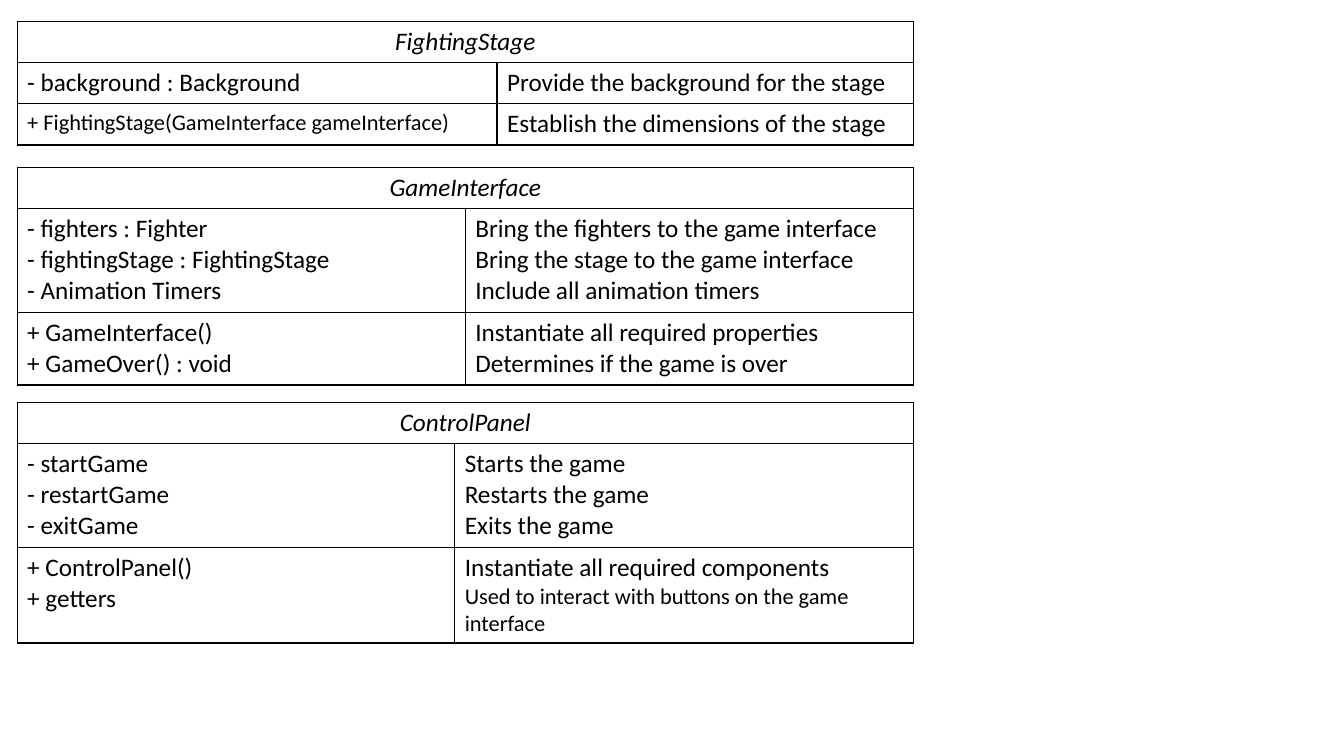
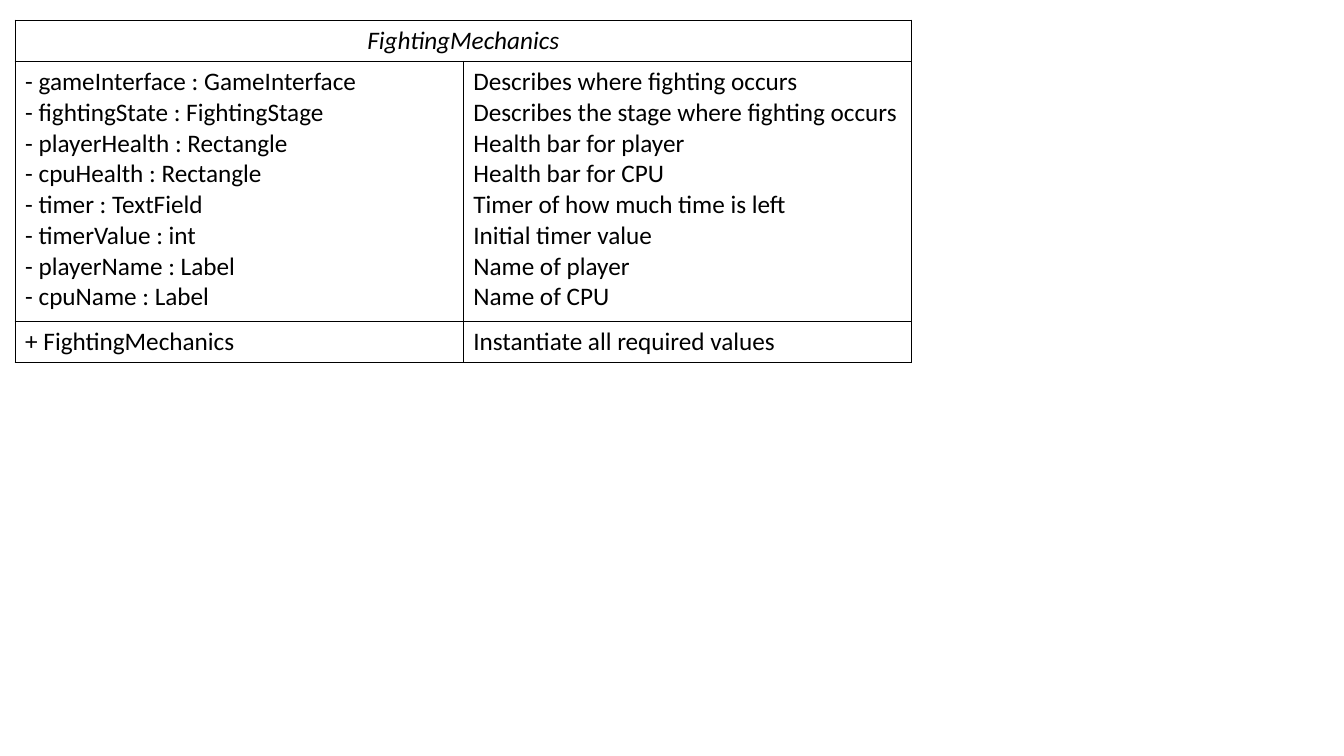
from lxml.etree import SubElement
from pptx import Presentation
from pptx.dml.color import RGBColor
from pptx.enum.text import PP_ALIGN as Align
from pptx.oxml.ns import qn
from pptx.util import Inches, Pt

COLORS = {"ink": "000000", "paper": "FFFFFF"}
FONT = "Calibri"
BODY_SIZE, SMALL_SIZE = 18, 16
TABLE_WIDTH = 8.89
LINE_HEIGHT, CELL_PADDING = 0.31, 0.1
BLANK_LAYOUT = 6


def write_text(para, text, size=BODY_SIZE, italic=False, align=Align.LEFT):
    para.alignment = align
    span = para.add_run()
    span.text = text
    font = span.font
    font.name, font.size = FONT, Pt(size)
    font.bold, font.italic = False, italic
    font.color.rgb = RGBColor.from_string(COLORS["ink"])


def fill_cell(cell, lines, **text_format):
    """Write one paragraph per line; a line is text or a (text, size) pair."""
    frame = cell.text_frame
    for index, line in enumerate(lines):
        para = frame.add_paragraph() if index else frame.paragraphs[0]
        text, size = (line, BODY_SIZE) if isinstance(line, str) else line
        write_text(para, text, size=size, **text_format)


def style_cell(cell):
    """Give the cell a plain fill and a thin border on all four sides."""
    properties = cell._tc.get_or_add_tcPr()
    for side in ("lnL", "lnR", "lnT", "lnB"):
        border = SubElement(properties, qn(f"a:{side}"), w=str(Pt(1)))
        solid = SubElement(border, qn("a:solidFill"))
        SubElement(solid, qn("a:srgbClr"), val=COLORS["ink"])
    cell.fill.solid()
    cell.fill.fore_color.rgb = RGBColor.from_string(COLORS["paper"])


def add_class_table(page, name, left, top, name_width, members):
    """Add a class name row, then rows of members beside their purposes."""
    heights = [LINE_HEIGHT * max(map(len, row)) + CELL_PADDING
               for row in [([name],), *members]]
    table = page.shapes.add_table(
        len(heights), 2, Inches(left), Inches(top),
        Inches(TABLE_WIDTH), Inches(sum(heights))).table
    table.first_row = table.horz_banding = False
    for column, width in zip(table.columns, (name_width, TABLE_WIDTH - name_width)):
        column.width = Inches(width)
    for row, height in zip(table.rows, heights):
        row.height = Inches(height)
    for cell in table.iter_cells():
        style_cell(cell)

    heading = table.cell(0, 0)
    heading.merge(table.cell(0, 1))
    fill_cell(heading, [name], italic=True, align=Align.CENTER)
    for row_index, row in enumerate(members, start=1):
        for column_index, lines in enumerate(row):
            fill_cell(table.cell(row_index, column_index), lines)


def add_interface_page(deck):
    page = deck.slides.add_slide(deck.slide_layouts[BLANK_LAYOUT])
    left = 0.17
    add_class_table(page, "FightingStage", left, 0.21, 4.76, [
        (["- background : Background"],
         ["Provide the background for the stage"]),
        ([("+ FightingStage(GameInterface gameInterface)", SMALL_SIZE)],
         ["Establish the dimensions of the stage"]),
    ])
    add_class_table(page, "GameInterface", left, 1.66, TABLE_WIDTH / 2, [
        (["- fighters : Fighter",
          "- fightingStage : FightingStage",
          "- Animation Timers"],
         ["Bring the fighters to the game interface",
          "Bring the stage to the game interface",
          "Include all animation timers"]),
        (["+ GameInterface()", "+ GameOver() : void"],
         ["Instantiate all required properties",
          "Determines if the game is over"]),
    ])
    add_class_table(page, "ControlPanel", left, 3.99, 4.34, [
        (["- startGame", "- restartGame", "- exitGame"],
         ["Starts the game", "Restarts the game", "Exits the game"]),
        (["+ ControlPanel()", "+ getters"],
         ["Instantiate all required components",
          ("Used to interact with buttons on the game interface", SMALL_SIZE)]),
    ])


def add_mechanics_page(deck):
    page = deck.slides.add_slide(deck.slide_layouts[BLANK_LAYOUT])
    add_class_table(page, "FightingMechanics", 0.15, 0.2, TABLE_WIDTH / 2, [
        (["- gameInterface : GameInterface",
          "- fightingState : FightingStage",
          "- playerHealth : Rectangle",
          "- cpuHealth : Rectangle",
          "- timer : TextField",
          "- timerValue : int",
          "- playerName : Label",
          "- cpuName : Label"],
         ["Describes where fighting occurs",
          "Describes the stage where fighting occurs",
          "Health bar for player",
          "Health bar for CPU",
          "Timer of how much time is left",
          "Initial timer value",
          "Name of player",
          "Name of CPU"]),
        (["+ FightingMechanics"], ["Instantiate all required values"]),
    ])


def main():
    deck = Presentation()
    deck.slide_width, deck.slide_height = Inches(13.33), Inches(7.5)
    add_interface_page(deck)
    add_mechanics_page(deck)
    deck.save("out.pptx")


if __name__ == "__main__":
    main()
